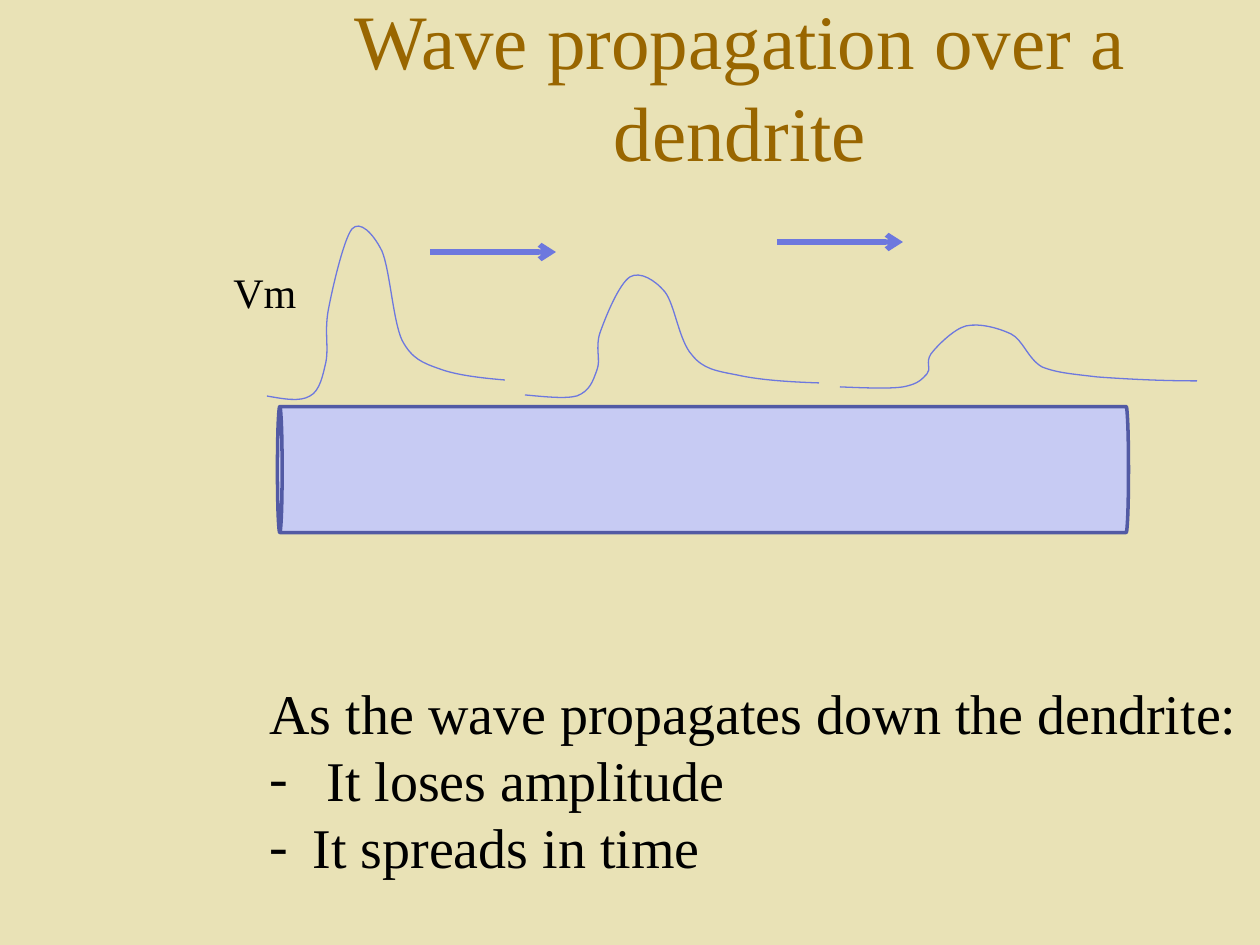
from lxml import etree
from pptx import Presentation
from pptx.dml.color import RGBColor
from pptx.enum.shapes import MSO_CONNECTOR, MSO_SHAPE
from pptx.enum.text import MSO_ANCHOR, PP_ALIGN
from pptx.oxml.ns import qn
from pptx.util import Pt

CAN = MSO_SHAPE.CAN
STRAIGHT = MSO_CONNECTOR.STRAIGHT
MIDDLE = MSO_ANCHOR.MIDDLE
LEFT, CENTER = PP_ALIGN.LEFT, PP_ALIGN.CENTER
SCALE = 914400 / 126
FONT = "Times New Roman"
COLORS = {
    "background": "E9E2B6",
    "title": "996600",
    "text": "000000",
    "dendrite": "C7CBF3",
    "outline": "525AA4",
    "wave": "6D78DE",
}


def px(*values):
    return [round(v * SCALE) for v in values]


def add_text(box, lines, size, color, align=LEFT, wrap=True):
    sp = slide.shapes.add_textbox(*px(*box))
    tf = sp.text_frame
    tf.word_wrap = wrap
    tf.text = "\n".join(lines)
    for p in tf.paragraphs:
        p.alignment = align
        p.font.name = FONT
        p.font.size = Pt(size)
        p.font.color.rgb = RGBColor.from_string(COLORS[color])
    return tf


prs = Presentation()
prs.slide_width, prs.slide_height = px(1260, 945)
slide = prs.slides.add_slide(prs.slide_layouts[6])
slide.background.fill.solid()
slide.background.fill.fore_color.rgb = RGBColor.from_string(COLORS["background"])

tf = add_text((220, 53, 1040, 157), ["Wave propagation over a dendrite"],
              44, "title", CENTER)
tf.vertical_anchor = MIDDLE
tf.margin_bottom = px(100)[0]

sp = slide.shapes.add_shape(CAN, *px(640, 44, 126, 851))
sp.rotation = 270
sp.adjustments[0] = 0.037
sp.shadow.inherit = False
sp.fill.solid()
sp.fill.fore_color.rgb = RGBColor.from_string(COLORS["dendrite"])
sp.line.color.rgb = RGBColor.from_string(COLORS["outline"])
sp.line.width = Pt(2)

add_text((221, 260, 88, 63), ["Vm"], 24, "text", wrap=False)

waves = [
    [(505, 380), (481, 378), (456, 375), (440, 369), (423, 363), (412, 359),
     (402, 340), (393, 320), (390, 270), (382, 251), (373, 233), (360, 220),
     (352, 229), (344, 239), (333, 286), (329, 307), (324, 330), (329, 346),
     (326, 362), (323, 375), (320, 391), (310, 396), (300, 402), (284, 399),
     (267, 396)],
    [(819, 383), (789, 382), (759, 380), (737, 375), (716, 371), (703, 369),
     (692, 355), (679, 341), (675, 305), (665, 292), (655, 280), (640, 271),
     (630, 277), (619, 284), (606, 316), (600, 333), (595, 348), (601, 360),
     (597, 370), (593, 381), (590, 391), (577, 396), (566, 399), (546, 397),
     (525, 395)],
    [(1197, 381), (1160, 381), (1124, 379), (1097, 377), (1072, 374), (1057, 373),
     (1042, 367), (1028, 359), (1023, 340), (1011, 334), (998, 328), (980, 323),
     (966, 326), (954, 329), (937, 346), (931, 354), (925, 363), (932, 369),
     (927, 374), (922, 379), (919, 384), (903, 387), (890, 389), (864, 388),
     (840, 387)],
]
for wave in waves:
    builder = slide.shapes.build_freeform(*wave[0], scale=SCALE)
    builder.add_line_segments(wave[1:], close=False)
    sp = builder.convert_to_shape()
    sp.shadow.inherit = False
    sp.fill.background()
    sp.line.color.rgb = RGBColor.from_string(COLORS["wave"])
    sp.line.width = Pt(0.75)
    outline = next(sp._element.iter(qn("a:path")))
    segments = outline.findall(qn("a:lnTo"))
    for i in range(0, len(segments), 3):
        curve = etree.SubElement(outline, qn("a:cubicBezTo"))
        for segment in segments[i:i + 3]:
            curve.append(segment[0])
            outline.remove(segment)

for x, y in ((430, 252), (777, 242)):
    arrow = slide.shapes.add_connector(STRAIGHT, *px(x, y, x + 126, y))
    arrow.line.color.rgb = RGBColor.from_string(COLORS["wave"])
    arrow.line.width = Pt(3)
    ln = arrow._element.spPr.find(qn("a:ln"))
    etree.SubElement(ln, qn("a:tailEnd"), type="arrow")
    etree.SubElement(arrow._element.spPr, qn("a:effectLst"))

tf = add_text((257, 672, 1003, 214),
              ["As the wave propagates down the dendrite:",
               "It loses amplitude", "It spreads in time"], 32, "text")
tf.margin_right = 0
for p, indent in zip(tf.paragraphs[1:], px(57, 43)):
    pPr = p._p.get_or_add_pPr()
    pPr.set("marL", str(indent))
    pPr.set("indent", str(-indent))
    pPr.insert(0, etree.Element(qn("a:buFont"), typeface=FONT))
    pPr.insert(1, etree.Element(qn("a:buChar"), char="-"))

prs.save("out.pptx")
